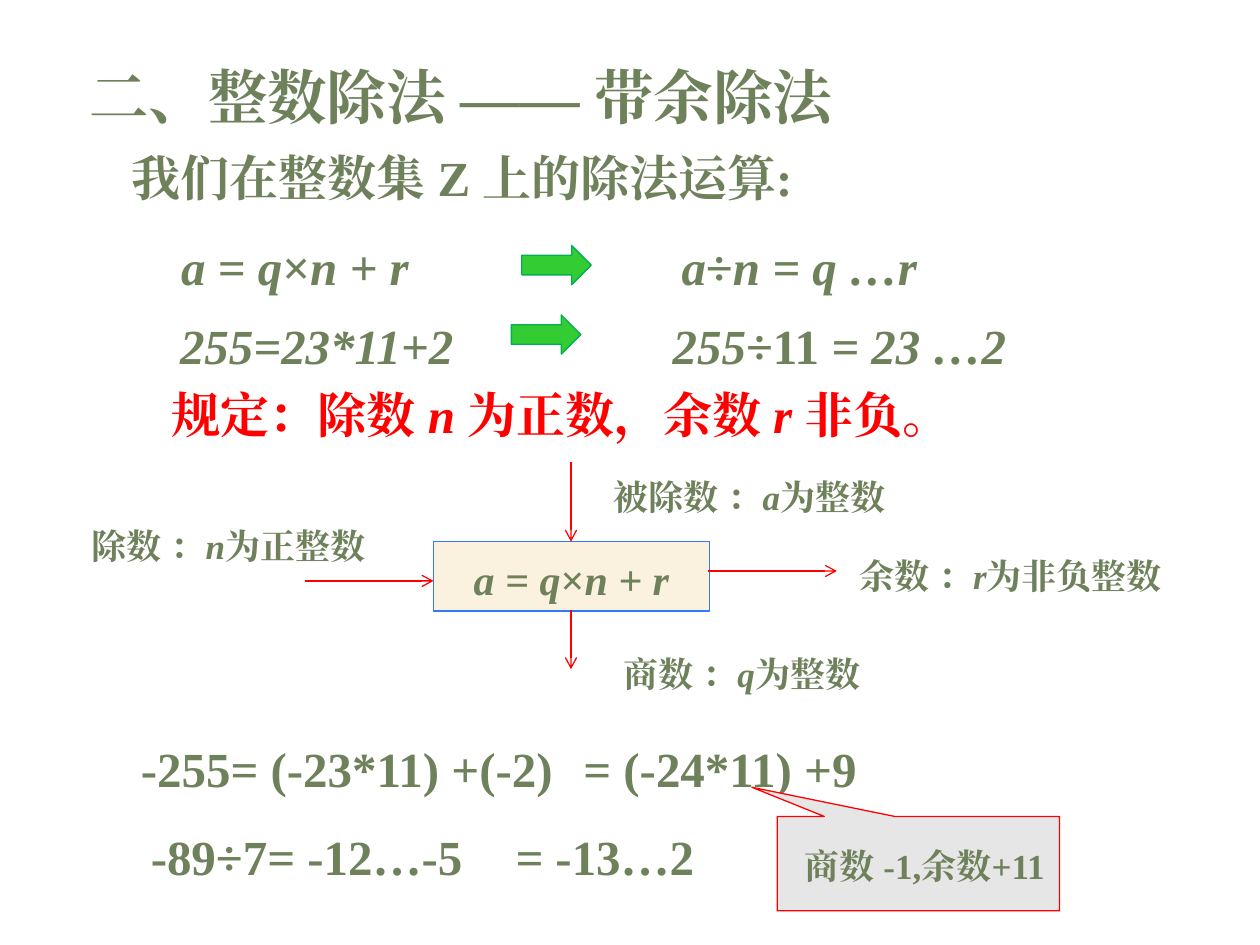
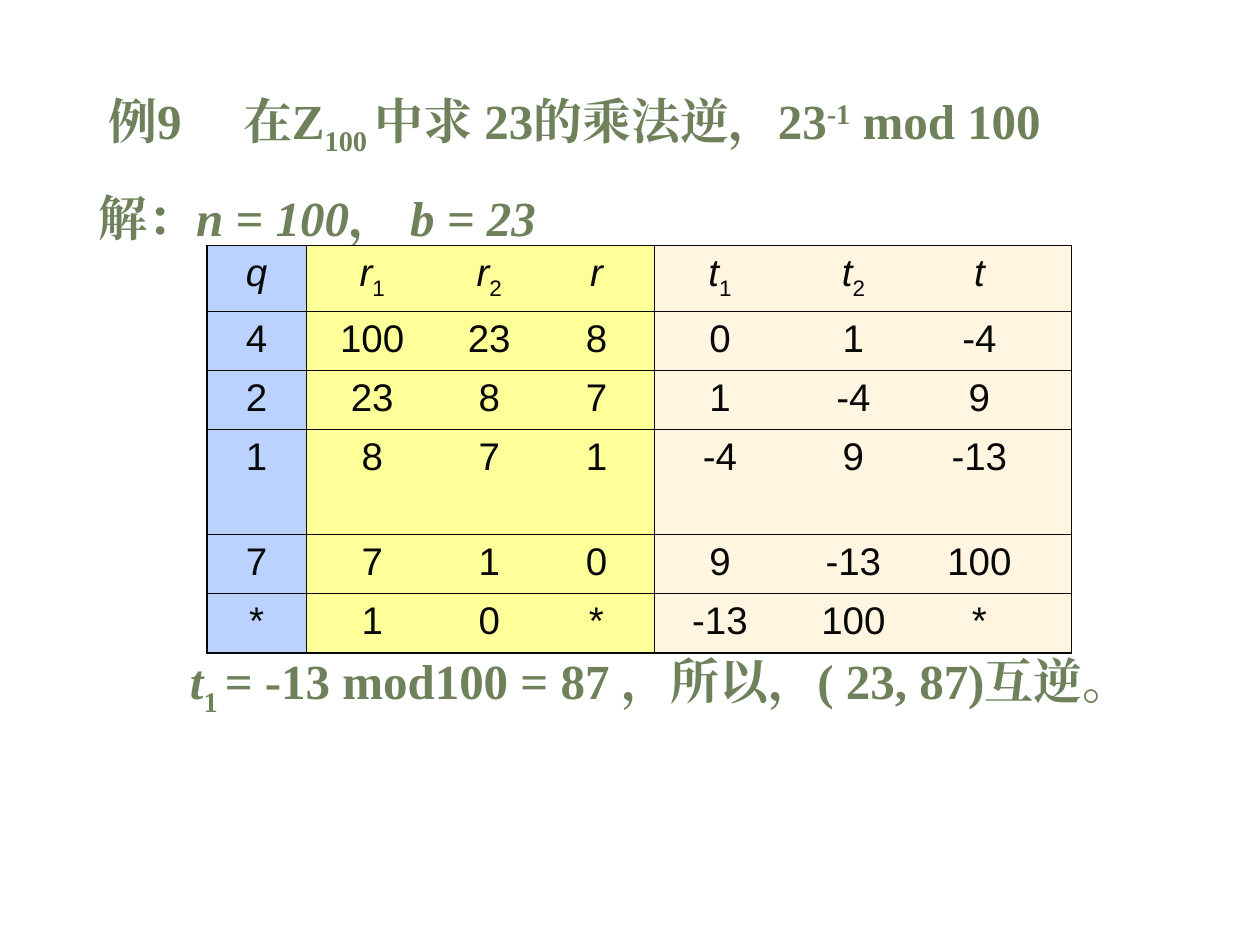
from lxml.etree import SubElement
from pptx import Presentation
from pptx.dml.color import RGBColor
from pptx.enum.shapes import MSO_CONNECTOR, MSO_SHAPE
from pptx.enum.text import MSO_ANCHOR as Anchor, MSO_AUTO_SIZE as AutoSize, PP_ALIGN as Align
from pptx.oxml import parse_xml
from pptx.oxml.ns import nsdecls, qn
from pptx.util import Cm, Pt

COLORS = {
    "text": "6E815B", "red": "FF0000", "ink": "080808",
    "arrow": "33CC33", "arrow_edge": "00B050",
    "machine": "FAF1DE", "machine_edge": "3477FF", "callout": "E6E6E6",
    "quotient": "BBD2FF", "remainders": "FFFF99", "factors": "FFF5E0",
}
SERIF, SANS = "Times New Roman", "Arial"
BASELINES = {"sub": "-25000", "sup": "30000"}
LINE_SPACING = 1.09
FORMULA = [("a = q", "italic"), ("×", ""), ("n + r", "italic")]


def color(name):
    return RGBColor.from_string(COLORS[name])


# Text
def add_tabs(para, stops, align):
    tabs = SubElement(para._p.get_or_add_pPr(), qn("a:tabLst"))
    for stop in stops:
        SubElement(tabs, qn("a:tab"), pos=str(Cm(stop)), algn=align)


def write_spans(para, spans, size, font=SERIF, tint="text", bold=True):
    """Fill a paragraph with (text, style) spans; a plain string is one span."""
    if isinstance(spans, str):
        spans = [(spans, "")]
    for text, style in spans:
        span = para.add_run()
        span.text = text
        span.font.size = Pt(size)
        span.font.bold = bold
        span.font.italic = "italic" in style
        span.font.color.rgb = color("red" if "red" in style else tint)
        span.font.name = font
        props = span._r.get_or_add_rPr()
        SubElement(props, qn("a:ea"), typeface=font)
        for key, shift in BASELINES.items():
            if key in style:
                props.set("baseline", shift)


def format_frame(frame, anchor=Anchor.TOP):
    frame.word_wrap = True
    frame.auto_size = AutoSize.NONE
    frame.vertical_anchor = anchor
    frame.margin_left = frame.margin_right = Cm(0.2)
    frame.margin_top = frame.margin_bottom = Cm(0.1)
    para = frame.paragraphs[0]
    para.alignment = Align.LEFT
    para.line_spacing = LINE_SPACING
    return para


def add_text(page, left, top, width, spans, size=28, height=1.4):
    box = page.shapes.add_textbox(Cm(left), Cm(top), Cm(width), Cm(height))
    write_spans(format_frame(box.text_frame), spans, size)


def set_title(page, left, top, width, height, spans, size, tabs=()):
    title = page.shapes.title
    title.left, title.top, title.width, title.height = map(Cm, (left, top, width, height))
    para = format_frame(title.text_frame)
    if tabs:
        add_tabs(para, tabs, "l")
    write_spans(para, spans, size)


# Shapes and lines
def add_figure(page, kind, left, top, width, height, fill, edge):
    figure = page.shapes.add_shape(kind, Cm(left), Cm(top), Cm(width), Cm(height))
    figure.shadow.inherit = False
    figure.fill.solid()
    figure.fill.fore_color.rgb = color(fill)
    figure.line.color.rgb = color(edge)
    figure.line.width = Pt(0.75)
    return figure


def add_arrow(page, *ends):
    arrow = page.shapes.add_connector(MSO_CONNECTOR.STRAIGHT, *map(Cm, ends))
    arrow.line.color.rgb = color("red")
    arrow.line.width = Pt(0.75)
    SubElement(arrow.line._get_or_add_ln(), qn("a:tailEnd"), type="arrow")
    SubElement(arrow._element.spPr, qn("a:effectLst"))


# Table
def set_borders(cell, widths):
    props = cell._tc.get_or_add_tcPr()
    for index, (side, width) in enumerate(zip("LRTB", widths)):
        props.insert(index, parse_xml(
            f'<a:ln{side} {nsdecls("a")} w="{Pt(width)}"><a:solidFill>'
            f'<a:srgbClr val="{COLORS["ink"]}"/></a:solidFill></a:ln{side}>'))


def header_spans(letter):
    return [(f"\t{letter}", "italic"), ("1", "sub"), (f"\t{letter}", "italic"),
            ("2", "sub"), (f"\t{letter}", "italic")]


def add_steps_table(page, left, top, widths, heights, rows):
    fills = ("quotient", "remainders", "factors")
    stops = ((), (1.07, 3.43, 5.59), (1.07, 3.76, 6.3))
    last_row, last_col = len(heights) - 1, len(widths) - 1
    table = page.shapes.add_table(len(heights), len(widths), Cm(left), Cm(top),
                                  Cm(sum(widths)), Cm(sum(heights))).table
    for column, width in zip(table.columns, widths):
        column.width = Cm(width)
    for r, (height, values) in enumerate(zip(heights, rows)):
        table.rows[r].height = Cm(height)
        for c, value in enumerate(values):
            cell = table.cell(r, c)
            cell.fill.solid()
            cell.fill.fore_color.rgb = color(fills[c])
            outer = (c == 0, c == last_col, r == 0, r == last_row)
            set_borders(cell, [1.08 if edge else 0.45 for edge in outer])
            para = cell.text_frame.paragraphs[0]
            para.alignment = Align.LEFT if stops[c] else Align.CENTER
            if stops[c]:
                add_tabs(para, stops[c], "ctr")
            if isinstance(value, tuple):
                value = "".join(f"\t{number}" for number in value)
            write_spans(para, value, 22, SANS, "ink", bold=False)


# Slides
def build_division(page):
    set_title(page, 1.6, 0.99, 18.4, 1.65, "二、整数除法 —— 带余除法", 34)
    add_text(page, 2.46, 2.77, 18, "我们在整数集 Z 上的除法运算:")

    # Two ways of writing a division
    add_text(page, 3.45, 4.57, 6.8, FORMULA)
    add_text(page, 13.54, 4.57, 9.1,
             [("a", "italic"), ("÷", ""), ("n = q …r", "italic")])
    add_text(page, 3.43, 6.15, 9.1, [("255=23*11+2", "italic")])
    add_text(page, 13.36, 6.15, 9.1,
             [("255", "italic"), ("÷11", ""), (" = 23 …2", "italic")])
    for left, top in ((10.52, 4.95), (10.31, 6.35)):
        add_figure(page, MSO_SHAPE.RIGHT_ARROW, left, top, 1.4, 0.79, "arrow", "arrow_edge")
    add_text(page, 3.25, 7.54, 19.8,
             [("规定：除数 ", "red"), ("n ", "red italic"), ("为正数，余数 ", "red"),
              ("r ", "red italic"), ("非负。", "red")])

    # Inputs and outputs of the formula
    machine = add_figure(page, MSO_SHAPE.RECTANGLE, 8.74, 10.92, 5.56, 1.4,
                         "machine", "machine_edge")
    para = format_frame(machine.text_frame, Anchor.MIDDLE)
    para.alignment = Align.CENTER
    write_spans(para, FORMULA, 24)
    for ends in ((11.51, 9.32, 11.51, 10.92), (11.51, 12.3, 11.51, 13.49),
                 (14.28, 11.51, 16.87, 11.51), (6.15, 11.71, 8.74, 11.71)):
        add_arrow(page, *ends)
    for left, top, name, letter, kind in (
            (12.17, 9.4, "被除数", "a", "为整数"), (12.37, 12.98, "商数", "q", "为整数"),
            (17.12, 11, "余数", "r", "为非负整数"), (1.65, 10.39, "除数", "n", "为正整数")):
        add_text(page, left, top, 7.3,
                 [(f"{name} ：", ""), (letter, "italic"), (kind, "")], 20, 1.1)

    # Negative dividends
    add_text(page, 2.64, 14.68, 9, "-255= (-23*11) +(-2)")
    add_text(page, 11.56, 14.68, 8.7, "= (-24*11) +9")
    callout = add_figure(page, MSO_SHAPE.RECTANGULAR_CALLOUT, 15.67, 16.46, 5.69, 1.9,
                         "callout", "red")
    callout.adjustments[0], callout.adjustments[1] = -0.59, -0.81
    para = format_frame(callout.text_frame, Anchor.MIDDLE)
    para._p.get_or_add_pPr().set("indent", str(Cm(0.35)))
    write_spans(para, "商数 -1,余数+11", 20)
    add_text(page, 2.84, 16.46, 7.3, "-89÷7= -12…-5")
    add_text(page, 10.19, 16.46, 5.4, [("=", "italic"), (" -13…2", "")])


def build_inverse(page):
    set_title(page, 1.98, 1.6, 21.7, 1.57,
              [("例9\t在Z", ""), ("100 ", "sub"), ("中求 23的乘法逆，23", ""),
               ("-1", "sup"), (" mod 100", "")], 28, tabs=[2.72])
    add_text(page, 1.78, 3.58, 17.9,
             [("解：", ""), ("n = 100", "italic"), ("， ", ""), ("b = 23", "italic")])
    add_steps_table(page, 4.17, 4.95, (2.01, 7.01, 8.41),
                    (1.32, 1.19, 1.19, 2.13, 1.19, 1.19), [
        ([("q", "italic")], header_spans("r"), header_spans("t")),
        ("4", (100, 23, 8), (0, 1, -4)),
        ("2", (23, 8, 7), (1, -4, 9)),
        ("1", (8, 7, 1), (-4, 9, -13)),
        ("7", (7, 1, 0), (9, -13, 100)),
        ("*", (1, 0, "*"), (-13, 100, "*")),
    ])
    add_text(page, 3.63, 12.9, 21,
             [("t", "italic"), ("1 ", "sub"),
              ("= -13 mod100 = 87 ，所以，( 23, 87)互逆。", "")], height=1.57)


def main():
    deck = Presentation()
    deck.slide_width, deck.slide_height = Cm(25.4), Cm(19.05)
    title_only = deck.slide_layouts[5]
    for build in (build_division, build_inverse):
        build(deck.slides.add_slide(title_only))
    deck.save("out.pptx")


if __name__ == "__main__":
    main()
